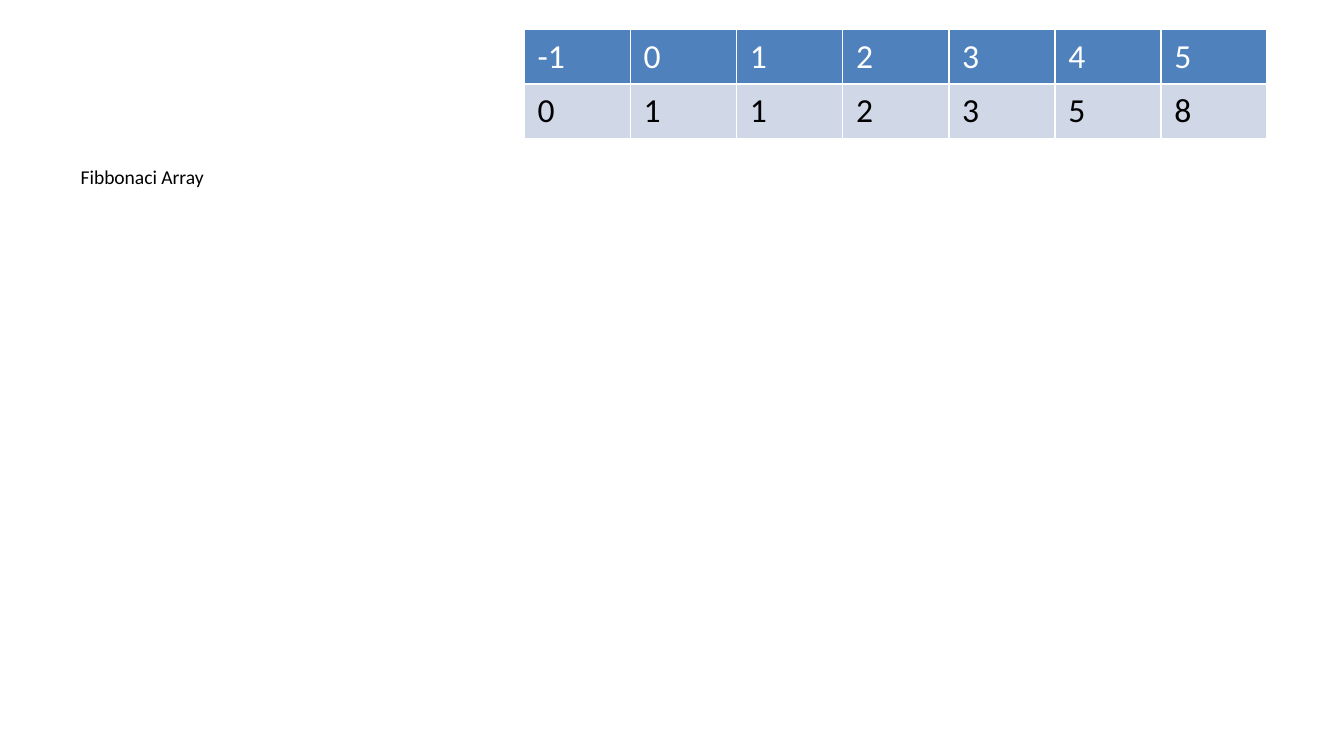
"""Build a slide with a captioned Fibonacci array table."""
from pptx import Presentation
from pptx.dml.color import RGBColor
from pptx.enum.text import MSO_AUTO_SIZE
from pptx.oxml.ns import qn
from pptx.util import Inches, Pt
from lxml.etree import SubElement

WHITE = RGBColor(0xFF, 0xFF, 0xFF)
BLACK = RGBColor(0, 0, 0)
BLUE = RGBColor(0x4F, 0x81, 0xBD)
PALE_BLUE = RGBColor(0xD0, 0xD8, 0xE8)
FONT = "Calibri"

INDEXES = [-1, 0, 1, 2, 3, 4, 5]
NUMBERS = [0, 1, 1, 2, 3, 5, 8]
ROWS = [(INDEXES, BLUE, WHITE), (NUMBERS, PALE_BLUE, BLACK)]
COLUMN_WIDTH = Inches(0.79)

deck = Presentation()
deck.slide_width = Inches(10)
deck.slide_height = deck.slide_width * 9 // 16
page = deck.slides.add_slide(deck.slide_layouts[1])
title = page.shapes.title
title.element.getparent().remove(title.element)

caption = page.placeholders[1]
caption.left, caption.top = Inches(0.5), Inches(1.18)
caption.width, caption.height = Inches(3.29), Inches(3.85)
caption.text_frame.auto_size = MSO_AUTO_SIZE.NONE
para = caption.text_frame.paragraphs[0]
para.text = "Fibbonaci Array"
para.space_before = Pt(0)
properties = para._p.get_or_add_pPr()
properties.set("marL", "0")
properties.set("indent", "0")
SubElement(properties, qn("a:buNone"))
para.font.name = FONT
para.font.size = Pt(10.5)
para.font.color.rgb = BLACK

frame = page.shapes.add_table(
    len(ROWS), len(INDEXES), Inches(3.9), Inches(0.22),
    COLUMN_WIDTH * len(INDEXES), Inches(4.79))
for row, (values, fill, ink) in zip(frame.table.rows, ROWS):
    row.height = 0
    for cell, value in zip(row.cells, values):
        cell.fill.solid()
        cell.fill.fore_color.rgb = fill
        para = cell.text_frame.paragraphs[0]
        para.text = str(value)
        para.font.name = FONT
        para.font.size = Pt(18)
        para.font.bold = False
        para.font.color.rgb = ink
frame.width, frame.height = Inches(5.58), Inches(4.79)

deck.save("out.pptx")
